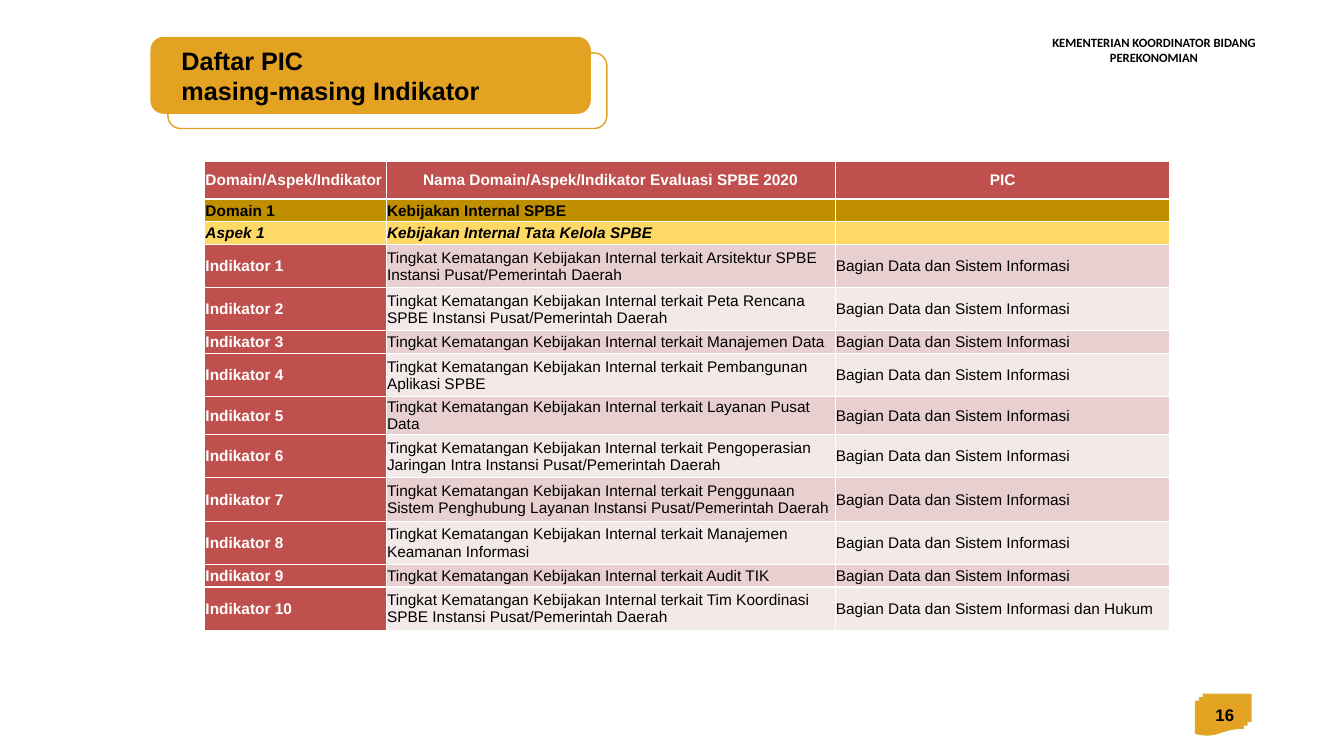
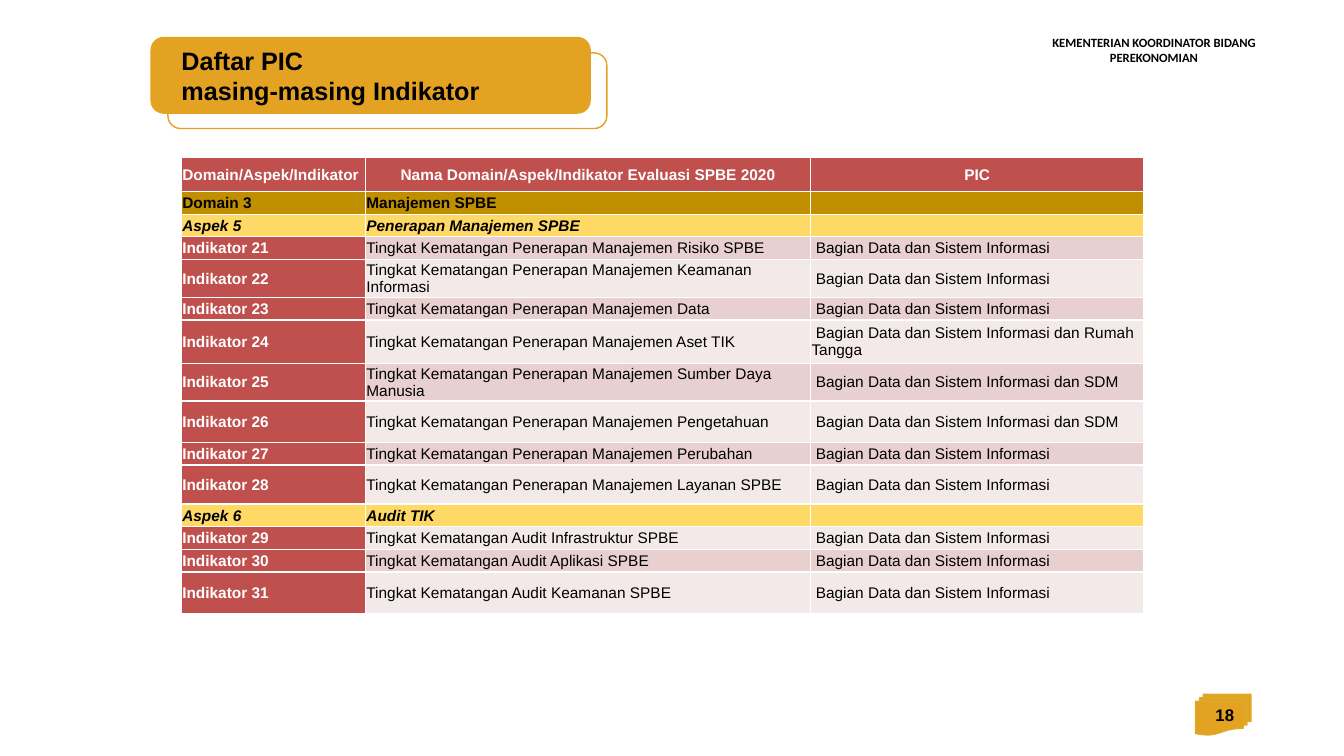
from lxml import etree
from pptx import Presentation
from pptx.dml.color import RGBColor
from pptx.enum.shapes import MSO_SHAPE
from pptx.enum.text import MSO_ANCHOR, PP_ALIGN
from pptx.oxml.ns import qn
from pptx.util import Pt

ROUNDED = MSO_SHAPE.ROUNDED_RECTANGLE
DOCUMENTS = MSO_SHAPE.FLOWCHART_MULTIDOCUMENT
LEFT, CENTER, RIGHT = PP_ALIGN.LEFT, PP_ALIGN.CENTER, PP_ALIGN.RIGHT
TOP, MIDDLE = MSO_ANCHOR.TOP, MSO_ANCHOR.MIDDLE

BLACK = RGBColor(0x00, 0x00, 0x00)
WHITE = RGBColor(0xFF, 0xFF, 0xFF)
AMBER = RGBColor(0xE3, 0xA2, 0x21)
AMBER_EDGE = RGBColor(0xDC, 0xAB, 0x27)
RED = RGBColor(0xC0, 0x50, 0x4D)
DARK_GOLD = RGBColor(0xBF, 0x8F, 0x00)
LIGHT_GOLD = RGBColor(0xFF, 0xD9, 0x66)
ROSE = RGBColor(0xE8, 0xD0, 0xD0)
PALE_ROSE = RGBColor(0xF4, 0xE9, 0xE9)

BODY_FONT, HEADER_FONT = "Arial", "Calibri"
CELL_SIZE = 11

# Row heights: one line, two tight lines, two lines with air
ONE, TIGHT, TWO = 16.2, 27, 30.9

HEADINGS = ("Domain/Aspek/Indikator",
            "Nama Domain/Aspek/Indikator Evaluasi SPBE 2020", "PIC")
DATA_UNIT = "Bagian Data dan Sistem Informasi"
POLICY = "Tingkat Kematangan Kebijakan Internal terkait "
PRACTICE = "Tingkat Kematangan Penerapan Manajemen "
AUDIT = "Tingkat Kematangan Audit "

# Each row: height, domain/aspect/indicator, its name, person in charge
POLICY_ROWS = [
    (27, *HEADINGS),
    (ONE, "Domain 1", "Kebijakan Internal SPBE", ""),
    (ONE, "Aspek 1", "Kebijakan Internal Tata Kelola SPBE", ""),
    (TWO, "Indikator 1",
     POLICY + "Arsitektur SPBE Instansi Pusat/Pemerintah Daerah", DATA_UNIT),
    (TWO, "Indikator 2",
     POLICY + "Peta Rencana SPBE Instansi Pusat/Pemerintah Daerah", DATA_UNIT),
    (ONE, "Indikator 3", POLICY + "Manajemen Data", DATA_UNIT),
    (TWO, "Indikator 4", POLICY + "Pembangunan Aplikasi SPBE", DATA_UNIT),
    (TIGHT, "Indikator 5", POLICY + "Layanan Pusat Data", DATA_UNIT),
    (TWO, "Indikator 6",
     POLICY + "Pengoperasian Jaringan Intra Instansi Pusat/Pemerintah Daerah",
     DATA_UNIT),
    (TWO, "Indikator 7",
     POLICY + "Penggunaan Sistem Penghubung Layanan Instansi "
     "Pusat/Pemerintah Daerah", DATA_UNIT),
    (TWO, "Indikator 8", POLICY + "Manajemen Keamanan Informasi", DATA_UNIT),
    (ONE, "Indikator 9", POLICY + "Audit TIK", DATA_UNIT),
    (TWO, "Indikator 10",
     POLICY + "Tim Koordinasi SPBE Instansi Pusat/Pemerintah Daerah",
     DATA_UNIT + " dan Hukum"),
]

MANAGEMENT_ROWS = [
    (24.5, *HEADINGS),
    (ONE, "Domain 3", "Manajemen SPBE", ""),
    (ONE, "Aspek 5", "Penerapan Manajemen SPBE", ""),
    (ONE, "Indikator 21", PRACTICE + "Risiko SPBE", DATA_UNIT),
    (TIGHT, "Indikator 22", PRACTICE + "Keamanan Informasi", DATA_UNIT),
    (ONE, "Indikator 23", PRACTICE + "Data", DATA_UNIT),
    (TWO, "Indikator 24", PRACTICE + "Aset TIK",
     DATA_UNIT + " dan Rumah Tangga"),
    (TIGHT, "Indikator 25", PRACTICE + "Sumber Daya Manusia",
     DATA_UNIT + " dan SDM"),
    (29.5, "Indikator 26", PRACTICE + "Pengetahuan", DATA_UNIT + " dan SDM"),
    (ONE, "Indikator 27", PRACTICE + "Perubahan", DATA_UNIT),
    (28, "Indikator 28", PRACTICE + "Layanan SPBE", DATA_UNIT),
    (ONE, "Aspek 6", "Audit TIK", ""),
    (ONE, "Indikator 29", AUDIT + "Infrastruktur SPBE", DATA_UNIT),
    (ONE, "Indikator 30", AUDIT + "Aplikasi SPBE", DATA_UNIT),
    (29.5, "Indikator 31", AUDIT + "Keamanan SPBE", DATA_UNIT),
]


def add_run(p, text, size, color=BLACK, bold=True, italic=False,
            font=BODY_FONT):
    r = p.add_run()
    r.text = text
    r.font.size, r.font.name = Pt(size), font
    r.font.bold, r.font.italic = bold, italic
    r.font.color.rgb = color


def add_text(slide, box, lines, size, align=LEFT, anchor=TOP, wrap=True,
             font=BODY_FONT):
    sp = slide.shapes.add_textbox(*map(Pt, box))
    tf = sp.text_frame
    tf.word_wrap, tf.vertical_anchor = wrap, anchor
    for i, line in enumerate(lines):
        p = tf.add_paragraph() if i else tf.paragraphs[0]
        p.alignment = align
        add_run(p, line, size, font=font)


def add_panel(slide, preset, box, edge, fill=None):
    sp = slide.shapes.add_shape(preset, *map(Pt, box))
    sp.shadow.inherit = False
    if fill is None:
        sp.fill.background()
    else:
        sp.fill.solid()
        sp.fill.fore_color.rgb = fill
    sp.line.color.rgb = edge
    sp.line.width = Pt(1)


def add_title(slide, x, y, w, h):
    """Filled title card over an offset outline card."""
    add_panel(slide, ROUNDED, (x + 12, y + 11, w, h), AMBER)
    add_panel(slide, ROUNDED, (x, y, w, h), AMBER, AMBER)
    add_text(slide, (x + 14.5, y + 2, 230, h),
             ["Daftar PIC", "masing-masing Indikator"], 18, wrap=False)


def add_page_number(slide, x, y, w, h, number):
    add_panel(slide, DOCUMENTS, (x, y, w, h), AMBER_EDGE, AMBER)
    add_text(slide, (x - 5, y, w, h), [str(number)], 12, RIGHT, MIDDLE)


def add_borders(cell):
    tc_pr = cell._tc.get_or_add_tcPr()
    for side in ("a:lnL", "a:lnR", "a:lnT", "a:lnB"):
        ln = etree.SubElement(tc_pr, qn(side), w=str(Pt(1)))
        fill = etree.SubElement(ln, qn("a:solidFill"))
        etree.SubElement(fill, qn("a:srgbClr"), val=str(WHITE))


def cell_style(label, row, col):
    """Return fill, text colour, bold and italic of a cell."""
    if label.startswith("Domain "):
        return DARK_GOLD, BLACK, True, False
    if label.startswith("Aspek "):
        return LIGHT_GOLD, BLACK, True, True
    if row == 0 or col == 0:
        return RED, WHITE, True, False
    return (ROSE if row % 2 else PALE_ROSE), BLACK, False, False


def fill_cell(cell, text, style, align, indent):
    fill, color, bold, italic = style
    add_borders(cell)
    cell.fill.solid()
    cell.fill.fore_color.rgb = fill
    cell.vertical_anchor = MIDDLE
    cell.margin_left = cell.margin_right = cell.margin_top = Pt(0.5)
    cell.margin_bottom = 0
    p = cell.text_frame.paragraphs[0]
    p.alignment = align
    if text:
        p._p.get_or_add_pPr().set("indent", str(Pt(indent)))
        add_run(p, text, CELL_SIZE, color, bold, italic)
    else:
        p._p.get_or_add_endParaRPr().set("sz", str(CELL_SIZE * 100))


def add_pic_table(slide, x, y, widths, rows, pic_indent):
    total = sum(row[0] for row in rows)
    table = slide.shapes.add_table(len(rows), len(widths), Pt(x), Pt(y),
                                   Pt(sum(widths)), Pt(total)).table
    table.first_row = table.horz_banding = False
    for column, width in zip(table.columns, widths):
        column.width = Pt(width)
    for i, (height, *texts) in enumerate(rows):
        table.rows[i].height = Pt(height)
        for j, text in enumerate(texts):
            align = CENTER if i == 0 and j else LEFT
            indent = pic_indent if i and j == 2 else 0
            fill_cell(table.cell(i, j), text, cell_style(texts[0], i, j),
                      align, indent)


def add_pic_slide(prs, number, x, y, widths, rows, pic_indent=0):
    slide = prs.slides.add_slide(prs.slide_layouts[6])
    add_text(slide, (722, 21.5, 204.5, 36.5),
             ["KEMENTERIAN KOORDINATOR BIDANG PEREKONOMIAN"], 9, CENTER,
             font=HEADER_FONT)
    add_title(slide, 108, 26.8, 313.5, 54)
    add_pic_table(slide, x, y, widths, rows, pic_indent)
    add_page_number(slide, 854, 496, 39.6, 29, number)


def main():
    prs = Presentation()
    prs.slide_width, prs.slide_height = Pt(960), Pt(540)
    add_pic_slide(prs, 16, 146.3, 115.2, (129.7, 320.6, 239.2), POLICY_ROWS)
    add_pic_slide(prs, 18, 129.7, 112.3, (131.5, 318, 237.8),
                  MANAGEMENT_ROWS, pic_indent=3)
    prs.save("out.pptx")


if __name__ == "__main__":
    main()
